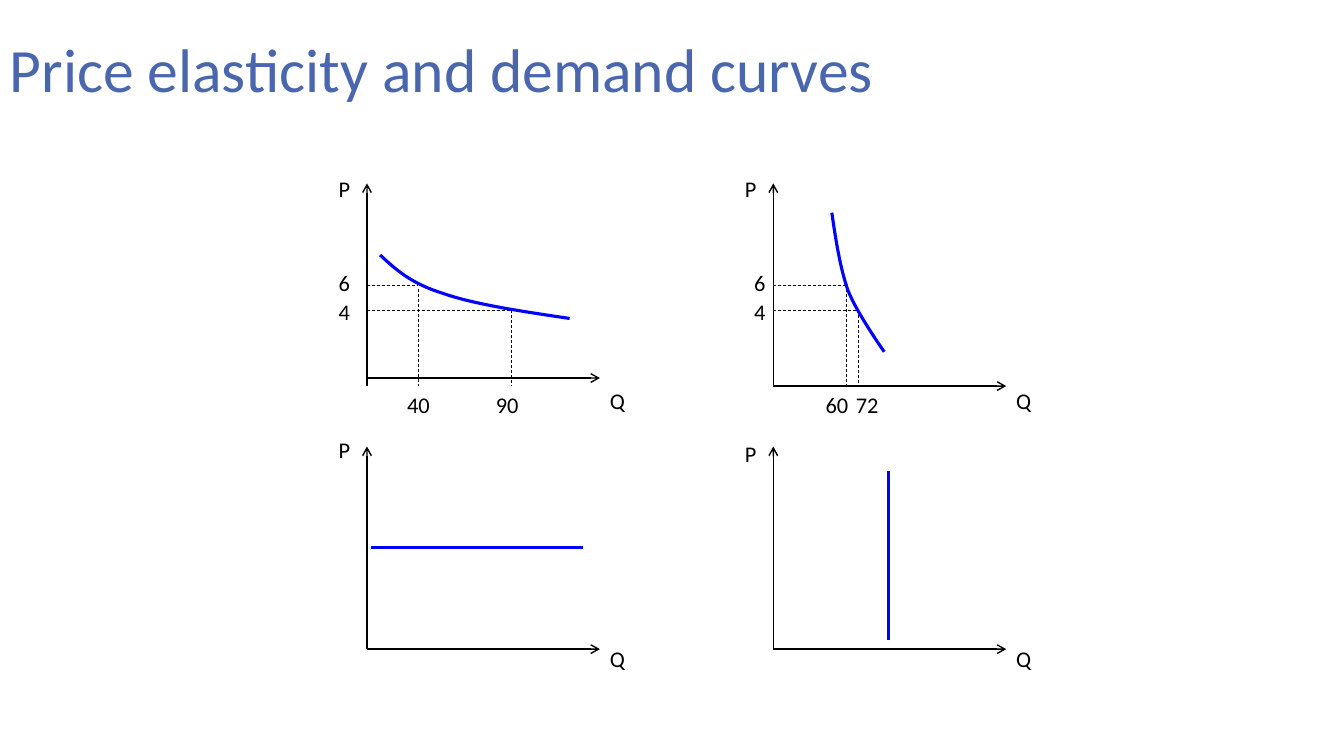
from lxml.etree import SubElement
from pptx import Presentation
from pptx.dml.color import RGBColor
from pptx.enum.dml import MSO_LINE
from pptx.enum.shapes import MSO_CONNECTOR
from pptx.enum.text import MSO_ANCHOR
from pptx.oxml.ns import qn
from pptx.util import Inches, Pt

TITLE = "Price elasticity and demand curves"
FONT = "Calibri"
COLORS = {"title": "4A66AC", "ink": "000000", "demand": "0000FF"}

GRID_LEFT, GRID_BASE = 3.64, 3.83
COLUMN_PITCH, ROW_PITCH = 4.03, 2.61
AXIS_WIDTH, AXIS_HEIGHT = 2.31, 2.01
LABEL_WIDTH, LABEL_HEIGHT = 0.38, 0.37
QUANTITY_WIDTH = 0.46
PRICES = [("6", 1.0, 1.21), ("4", 0.75, 0.92)]
CURVE_STEPS = 16

PANELS = [
    {
        "cell": (0, 0), "axis_lift": 0.08, "p_top": 2.14, "q_top": 0.04,
        "price_label_x": -0.38,
        "quantities": [("40", 0.51, 0.96, 0.30), ("90", 1.43, 0.75, 1.18)],
        "demand": [(0.13, 1.30), (0.28, 1.16), (0.43, 1.02), (0.75, 0.92),
                   (1.06, 0.81), (1.54, 0.74), (2.01, 0.67)],
    },
    {
        "cell": (1, 0), "axis_lift": 0, "p_top": 2.14, "q_top": 0.04,
        "price_label_x": -0.29,
        "quantities": [("60", 0.72, 0.96, 0.42), ("72", 0.84, 0.75, 0.72)],
        "demand": [(0.58, 1.72), (0.62, 1.45), (0.66, 1.18), (0.74, 0.95),
                   (0.83, 0.72), (1.10, 0.34), (1.10, 0.34)],
    },
    {
        "cell": (0, 1), "axis_lift": 0, "p_top": 2.16, "q_top": 0.09,
        "quantities": [], "demand": [(0.04, 1.01), (2.14, 1.01)],
    },
    {
        "cell": (1, 1), "axis_lift": 0, "p_top": 2.12, "q_top": 0.09,
        "quantities": [], "demand": [(1.14, 1.77), (1.14, 0.09)],
    },
]

deck = Presentation()
deck.slide_width, deck.slide_height = Inches(13.33), Inches(7.5)
slide = deck.slides.add_slide(deck.slide_layouts[6])


def add_text(text, left, top, width, height, size=16, color="ink"):
    box = slide.shapes.add_textbox(*map(Inches, (left, top, width, height)))
    frame = box.text_frame
    frame.word_wrap = True
    run = frame.paragraphs[0].add_run()
    run.text = text
    run.font.name, run.font.size = FONT, Pt(size)
    run.font.color.rgb = RGBColor.from_string(COLORS[color])
    return frame


def style_line(line, color, width):
    line.color.rgb = RGBColor.from_string(COLORS[color])
    line.width = Pt(width)


def add_line(start, end, color="ink", width=1.0, dashed=False, arrow=False):
    connector = slide.shapes.add_connector(
        MSO_CONNECTOR.STRAIGHT, *map(Inches, (*start, *end)))
    style_line(connector.line, color, width)
    if dashed:
        connector.line.dash_style = MSO_LINE.DASH
    properties = connector._element.spPr
    if arrow:
        SubElement(properties.find(qn("a:ln")), qn("a:tailEnd"), type="arrow")
    SubElement(properties, qn("a:effectLst"))


def bezier(a, b, c, d, t):
    s = 1 - t
    return tuple(s**3 * i + 3 * s * s * t * j + 3 * s * t * t * k + t**3 * m
                 for i, j, k, m in zip(a, b, c, d))


def add_curve(controls):
    points = [controls[0]] + [
        bezier(*controls[first:first + 4], step / CURVE_STEPS)
        for first in range(0, len(controls) - 1, 3)
        for step in range(1, CURVE_STEPS + 1)]
    start, *rest = [(Inches(x), Inches(y)) for x, y in points]
    builder = slide.shapes.build_freeform(*start)
    builder.add_line_segments(rest, close=False)
    curve = builder.convert_to_shape()
    curve.fill.background()
    curve.shadow.inherit = False
    style_line(curve.line, "demand", 2.25)


def add_panel(panel):
    column, row = panel["cell"]
    left = GRID_LEFT + column * COLUMN_PITCH
    base = GRID_BASE + row * ROW_PITCH

    def at(x, y):
        return left + x, base - y

    lift = panel["axis_lift"]
    add_line(at(0, 0), at(0, AXIS_HEIGHT), arrow=True)
    add_line(at(0, lift), at(AXIS_WIDTH, lift), arrow=True)
    add_text("P", *at(-LABEL_WIDTH, panel["p_top"]), LABEL_WIDTH, LABEL_HEIGHT)
    add_text("Q", *at(AXIS_WIDTH, panel["q_top"]), LABEL_WIDTH, LABEL_HEIGHT)

    for (price, level, label_top), (quantity, x, top, label_x) in zip(
            PRICES, panel["quantities"]):
        add_line(at(0, level), at(x, level), width=0.5, dashed=True)
        add_line(at(x, top), at(x, 0), width=0.5, dashed=True)
        add_text(price, *at(panel["price_label_x"], label_top),
                 LABEL_WIDTH, LABEL_HEIGHT)
        add_text(quantity, *at(label_x, 0), QUANTITY_WIDTH, LABEL_HEIGHT)

    demand = [at(*point) for point in panel["demand"]]
    if len(demand) == 2:
        add_line(*demand, color="demand", width=2.25)
    else:
        add_curve(demand)


heading = add_text(TITLE, 0, 0, 11.5, 1.44, size=44, color="title")
heading.vertical_anchor = MSO_ANCHOR.MIDDLE
heading.paragraphs[0].line_spacing = 0.9
for panel in PANELS:
    add_panel(panel)

deck.save("out.pptx")
